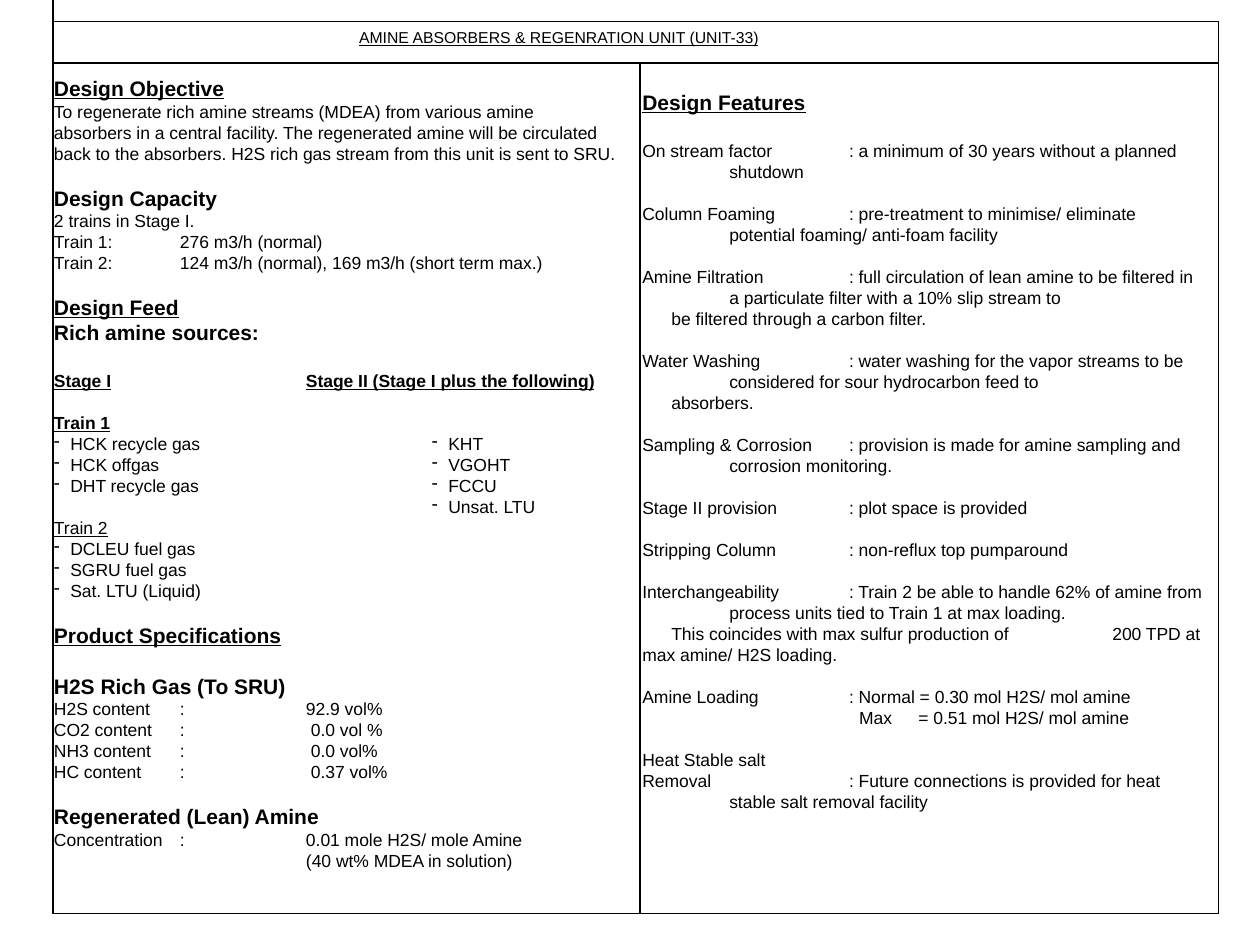
from dataclasses import dataclass

from lxml.etree import SubElement
from pptx import Presentation
from pptx.dml.color import RGBColor
from pptx.enum.shapes import MSO_CONNECTOR
from pptx.enum.text import MSO_ANCHOR, MSO_AUTO_SIZE, PP_ALIGN
from pptx.oxml.ns import qn
from pptx.util import Inches, Pt

BLACK = RGBColor(0x00, 0x00, 0x00)
FONT = "Arial"
BODY_LINE, HEADING_LINE = 12, 14.5
LEFT_STOPS = (1, 2)
FEATURE_STOPS = (0.23, 0.69, 1.64, 3.73)
LOADING_STOPS = (1.72, 2.19)


@dataclass
class Entry:
    """One paragraph with its look; lengths in points or inches as named."""

    text: str
    gap_points: float = 0
    heading: bool = False
    bold: bool = False
    underline: bool = False
    dash_indent: float = None
    stops: tuple = ()


def heading(text, gap_points=BODY_LINE, underline=True):
    """Describe a large bold heading."""
    return Entry(text, gap_points, heading=True, bold=True, underline=underline)


def dashes(texts, indent=0):
    """Describe a list with dash bullets."""
    return [Entry(text, dash_indent=indent) for text in texts]


def rows(texts, stops=LEFT_STOPS, gap_points=0):
    """Describe tabbed rows."""
    return [Entry(text, gap_points, stops=stops) for text in texts]


OVERVIEW = [
    heading("Design Objective", 0),
    Entry("To regenerate rich amine streams (MDEA) from various amine\v"
          "absorbers in a central facility. The regenerated amine will be circulated\v"
          "back to the absorbers. H2S rich gas stream from this unit is sent to SRU."),
    heading("Design Capacity", underline=False),
    *rows(["2 trains in Stage I.",
           "Train 1:\t276 m3/h (normal)",
           "Train 2:\t124 m3/h (normal), 169 m3/h (short term max.)"]),
    heading("Design Feed"),
    heading("Rich amine sources:", 0, underline=False),
    Entry("Stage I", HEADING_LINE, bold=True, underline=True),
    Entry("Train 1", BODY_LINE, bold=True, underline=True),
    *dashes(["HCK recycle gas", "HCK offgas", "DHT recycle gas"]),
    Entry("Train 2", BODY_LINE, underline=True),
    *dashes(["DCLEU fuel gas", "SGRU fuel gas", "Sat. LTU (Liquid)"]),
    heading("Product Specifications"),
    heading("H2S Rich Gas (To SRU)", HEADING_LINE, underline=False),
    *rows(["H2S content\t:\t92.9 vol%",
           "CO2 content\t:\t 0.0 vol %",
           "NH3 content\t:\t 0.0 vol%",
           "HC content\t:\t 0.37 vol%"]),
    heading("Regenerated (Lean) Amine", underline=False),
    *rows(["Concentration\t:\t0.01 mole H2S/ mole Amine\v\t\t(40 wt% MDEA in solution)"]),
]

STAGE_TWO = [
    Entry("Stage II (Stage I plus the following)", bold=True, underline=True),
    *dashes(["KHT", "VGOHT", "FCCU", "Unsat. LTU"], indent=1),
]
STAGE_TWO[1].gap_points = 2 * BODY_LINE

FEATURES = [
    heading("Design Features", 0),
    *rows(["On stream factor\t: a minimum of 30 years without a planned\v\t\tshutdown"],
          FEATURE_STOPS, HEADING_LINE),
    *rows([
        "Column Foaming\t: pre-treatment to minimise/ eliminate\v"
        "\t\tpotential foaming/ anti-foam facility",
        "Amine Filtration\t: full circulation of lean amine to be filtered in\v"
        "\t\ta particulate filter with a 10% slip stream to\v"
        "\tbe filtered through a carbon filter.",
        "Water Washing\t: water washing for the vapor streams to be\v"
        "\t\tconsidered for sour hydrocarbon feed to\v\tabsorbers.",
        "Sampling & Corrosion\t: provision is made for amine sampling and\v"
        "\t\tcorrosion monitoring.",
        "Stage II provision\t: plot space is provided",
        "Stripping Column\t: non-reflux top pumparound",
        "Interchangeability\t: Train 2 be able to handle 62% of amine from\v"
        "\t\tprocess units tied to Train 1 at max loading.\v"
        "\tThis coincides with max sulfur production of\t200 TPD at\v"
        "max amine/ H2S loading.",
        "Amine Loading\t: Normal = 0.30 mol H2S/ mol amine",
    ], FEATURE_STOPS, BODY_LINE),
    *rows(["\tMax\t= 0.51 mol H2S/ mol amine"], LOADING_STOPS),
    *rows(["Heat Stable salt\vRemoval\t\t: Future connections is provided for heat\v"
           "\t\tstable salt removal facility"], FEATURE_STOPS, BODY_LINE),
]

RULES = [
    (0.42, 0.17, 9.67, 0.17),
    (0.42, 0, 0.42, 7.25),
    (0.42, 7.25, 9.67, 7.25),
    (9.67, 0.17, 9.67, 7.25),
    (0.42, 0.5, 9.67, 0.5),
    (5.08, 0.5, 5.08, 7.25),
]


def format_runs(paragraph, size, bold=False, underline=False):
    """Apply the slide font to every run of a paragraph."""
    for run in paragraph.runs:
        run.font.name = FONT
        run.font.size = Pt(size)
        run.font.bold = bold
        run.font.underline = underline
        run.font.color.rgb = BLACK


def set_dash(paragraph, indent):
    """Give a paragraph a dash bullet with a hanging indent."""
    properties = paragraph._p.get_or_add_pPr()
    hanging = Inches(0.13)
    properties.set("marL", str(Inches(indent) + hanging))
    properties.set("indent", str(-hanging))
    SubElement(properties, qn("a:buChar")).set("char", "-")


def set_stops(paragraph, stops):
    """Set left tab stops in inches."""
    tab_list = SubElement(paragraph._p.get_or_add_pPr(), qn("a:tabLst"))
    for stop in stops:
        tab = SubElement(tab_list, qn("a:tab"))
        tab.set("pos", str(Inches(stop)))
        tab.set("algn", "l")


def fill_paragraph(paragraph, entry):
    """Write one entry into a paragraph."""
    paragraph.text = entry.text
    if entry.dash_indent is not None:
        set_dash(paragraph, entry.dash_indent)
    if entry.stops:
        set_stops(paragraph, entry.stops)
    paragraph.line_spacing = Pt(HEADING_LINE if entry.heading else BODY_LINE)
    if entry.gap_points:
        paragraph.space_before = Pt(entry.gap_points)
    format_runs(paragraph, 12 if entry.heading else 10, entry.bold, entry.underline)


def add_column(slide, left, top, width, height, entries):
    """Add a text box holding the given entries."""
    shape = slide.shapes.add_textbox(Inches(left), Inches(top), Inches(width), Inches(height))
    text_frame = shape.text_frame
    text_frame.word_wrap = True
    for index, entry in enumerate(entries):
        paragraph = text_frame.add_paragraph() if index else text_frame.paragraphs[0]
        fill_paragraph(paragraph, entry)


def add_rule(slide, *ends):
    """Add a thin black frame line."""
    connector = slide.shapes.add_connector(MSO_CONNECTOR.STRAIGHT, *map(Inches, ends))
    connector.line.color.rgb = BLACK
    connector.line.width = Pt(0.75)
    SubElement(connector._element.spPr, qn("a:effectLst"))


def set_title(slide):
    """Place and format the unit title."""
    title = slide.shapes.title
    title.left, title.top, title.width, title.height = map(Inches, (2.75, 0.17, 4.5, 0.25))
    text_frame = title.text_frame
    text_frame.text = "AMINE ABSORBERS & REGENRATION UNIT (UNIT-33)"
    text_frame.auto_size = MSO_AUTO_SIZE.NONE
    text_frame.vertical_anchor = MSO_ANCHOR.MIDDLE
    paragraph = text_frame.paragraphs[0]
    paragraph.alignment = PP_ALIGN.LEFT
    format_runs(paragraph, 9, underline=True)


def main():
    """Build the slide and save it."""
    presentation = Presentation()
    presentation.slide_width, presentation.slide_height = Inches(10), Inches(7.5)
    slide = presentation.slides.add_slide(presentation.slide_layouts[5])
    set_title(slide)
    for ends in RULES:
        add_rule(slide, *ends)
    add_column(slide, 0.33, 0.55, 4.75, 6.45, OVERVIEW)
    add_column(slide, 2.33, 2.89, 2.67, 1.3, STAGE_TWO)
    add_column(slide, 5, 0.66, 4.67, 5.9, FEATURES)
    presentation.save("out.pptx")


if __name__ == "__main__":
    main()
